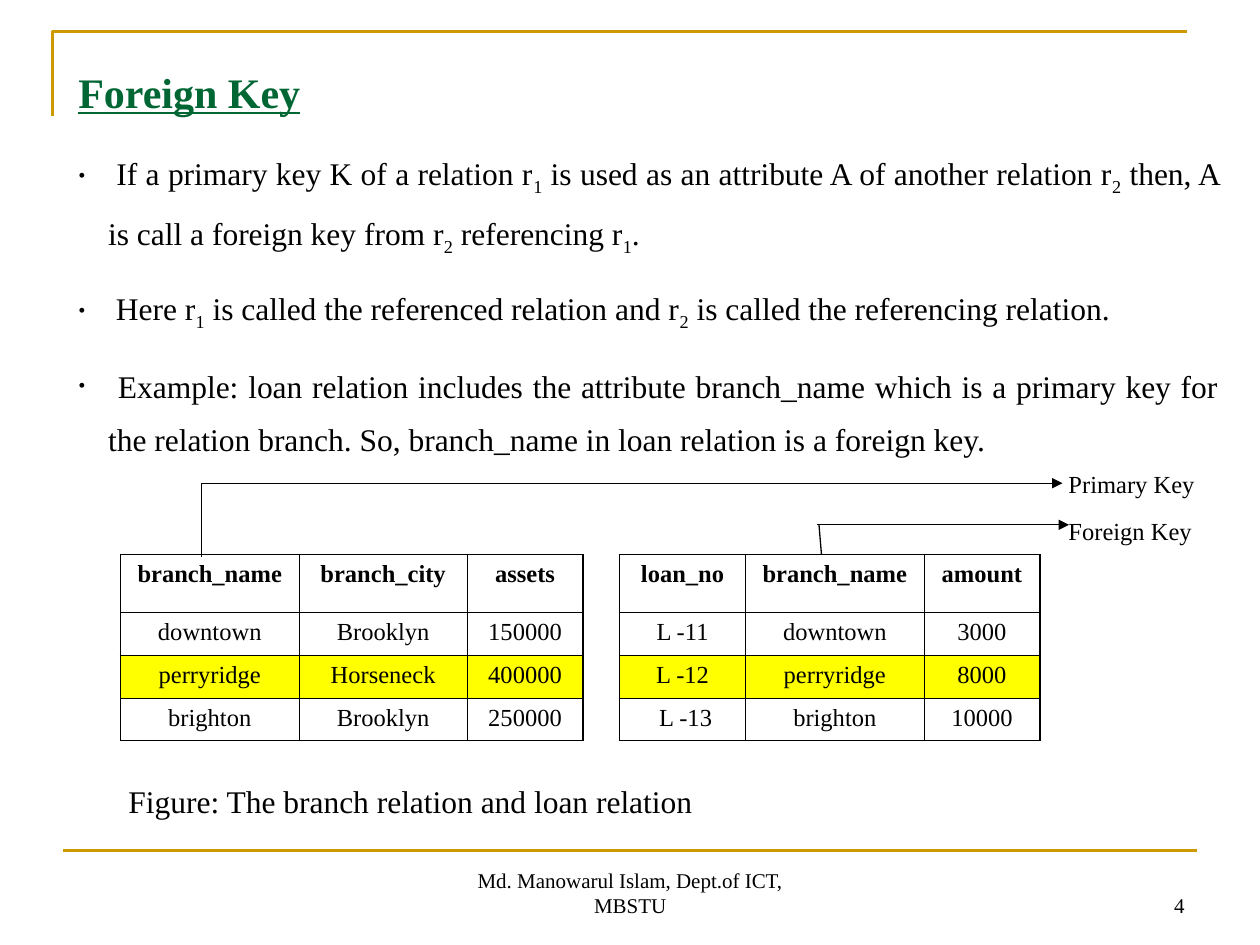
from dataclasses import dataclass

from lxml import etree
from pptx import Presentation
from pptx.dml.color import RGBColor
from pptx.enum.shapes import MSO_CONNECTOR
from pptx.enum.text import MSO_ANCHOR, PP_ALIGN
from pptx.oxml.ns import qn
from pptx.util import Cm, Pt

LEFT, CENTER, RIGHT, JUSTIFY = PP_ALIGN.LEFT, PP_ALIGN.CENTER, PP_ALIGN.RIGHT, PP_ALIGN.JUSTIFY
TOP, BOTTOM = MSO_ANCHOR.TOP, MSO_ANCHOR.BOTTOM
STRAIGHT = MSO_CONNECTOR.STRAIGHT

FONT = "Times New Roman"
BLACK, GOLD, GREEN, YELLOW = "000000", "CC9900", "006633", "FFFF00"
THIN, THICK = 0.45, 1.08
TABLE_TOP, HEADER_HEIGHT, ROW_HEIGHT = 11.18, 1.17, 0.86
HIGHLIGHTED_ROW = 2
HANGING = 0.6


@dataclass
class Relation:
    left: float
    widths: list[float]
    rows: list[list[str]]


@dataclass
class Line:
    start: tuple[float, float]
    end: tuple[float, float]
    color: str = BLACK
    width: float = 0.75
    arrow: bool = False


@dataclass
class Label:
    text: str
    left: float
    top: float
    width: float
    height: float
    size: float
    align: PP_ALIGN = LEFT
    anchor: MSO_ANCHOR = TOP


@dataclass
class Point:
    text: str
    spacing: float


RELATIONS = [
    Relation(2.43, [3.6, 3.39, 2.33], [
        ["branch_name", "branch_city", "assets"],
        ["downtown", "Brooklyn", "150000"],
        ["perryridge", "Horseneck", "400000"],
        ["brighton", "Brooklyn", "250000"],
    ]),
    Relation(12.49, [2.54, 3.6, 2.33], [
        ["loan_no", "branch_name", "amount"],
        ["L -11", "downtown", "3000"],
        ["L -12", "perryridge", "8000"],
        [" L -13", "brighton", "10000"],
    ]),
]

FOOTER_RULE = Line((1.27, 17.15), (24.13, 17.15), GOLD, 1.5)
KEY_LINES = [
    Line((4.06, 9.74), (21.42, 9.74), arrow=True),
    Line((4.06, 9.74), (4.06, 11.22)),
    Line((16.47, 10.58), (21.55, 10.58), arrow=True),
    Line((16.51, 10.58), (16.56, TABLE_TOP)),
]

FOOTERS = [
    Label("Md. Manowarul Islam, Dept.of ICT, MBSTU", 8.68, 17.36, 8.05, 1.27, 12, CENTER, BOTTOM),
    Label("4", 18.21, 17.36, 5.92, 1.27, 12, RIGHT, BOTTOM),
]
CAPTIONS = [
    Label("Figure: The branch relation and loan relation", 2.34, 15.65, 16.71, 1.02, 18),
    Label("Primary Key", 21.29, 9.33, 3.6, 0.86, 14),
    Label("Foreign Key", 21.29, 10.28, 3.6, 0.86, 14),
]

POINTS = [
    Point(" If a primary key K of a relation r~1~ is used as an attribute A of another relation "
          "r~2~ then, A is call a foreign key from r~2~ referencing r~1~.", 1.4),
    Point(" Here r~1~ is called the referenced relation and r~2~ is called the referencing "
          "relation.", 1.3),
    Point(" Example: loan relation includes the attribute branch_name which is a primary key "
          "for the relation branch. So, branch_name in loan relation is a foreign key.", 1.4),
]


def rgb(color: str) -> RGBColor:
    return RGBColor.from_string(color)


def add_bullet(paragraph) -> None:
    properties = paragraph._p.get_or_add_pPr()
    properties.set("marL", str(Cm(HANGING)))
    properties.set("indent", str(-Cm(HANGING)))
    bullet_color = etree.SubElement(properties, qn("a:buClr"))
    etree.SubElement(bullet_color, qn("a:srgbClr"), val=BLACK)
    etree.SubElement(properties, qn("a:buSzPct"), val="65000")
    etree.SubElement(properties, qn("a:buFont"), typeface=FONT)
    etree.SubElement(properties, qn("a:buChar"), char="•")


def write(frame, text: str, *, size: float, color: str = BLACK, bold: bool = False,
          underline: bool = False, align: PP_ALIGN = LEFT, spacing: float = 1.0,
          before: float = 0, bullet: bool = False, new: bool = False) -> None:
    paragraph = frame.add_paragraph() if new else frame.paragraphs[0]
    if bullet:
        add_bullet(paragraph)
    paragraph.alignment = align
    paragraph.line_spacing = spacing
    paragraph.space_before = Pt(before)
    for index, part in enumerate(text.split("~")):
        run = paragraph.add_run()
        run.text = part
        run.font.name = FONT
        run.font.size = Pt(size)
        run.font.bold = bold
        run.font.underline = underline
        run.font.color.rgb = rgb(color)
        if index % 2:
            run._r.get_or_add_rPr().set("baseline", "-25000")


def add_frame(slide, left: float, top: float, width: float, height: float,
              anchor: MSO_ANCHOR = TOP):
    frame = slide.shapes.add_textbox(Cm(left), Cm(top), Cm(width), Cm(height)).text_frame
    frame.word_wrap = True
    frame.vertical_anchor = anchor
    return frame


def draw_label(slide, label: Label) -> None:
    frame = add_frame(slide, label.left, label.top, label.width, label.height, label.anchor)
    write(frame, label.text, size=label.size, align=label.align)


def draw_line(slide, line: Line) -> None:
    ends = [Cm(value) for value in (*line.start, *line.end)]
    connector = slide.shapes.add_connector(STRAIGHT, *ends)
    connector.line.color.rgb = rgb(line.color)
    connector.line.width = Pt(line.width)
    if line.arrow:
        etree.SubElement(connector.line._get_or_add_ln(), qn("a:tailEnd"), type="triangle")
    etree.SubElement(connector._element.spPr, qn("a:effectLst"))


def draw_corner(slide) -> None:
    builder = slide.shapes.build_freeform(Cm(1.06), Cm(2.33))
    builder.add_line_segments([(Cm(1.06), Cm(0.64)), (Cm(23.92), Cm(0.64))], close=False)
    corner = builder.convert_to_shape()
    corner.shadow.inherit = False
    corner.fill.background()
    corner.line.color.rgb = rgb(GOLD)
    corner.line.width = Pt(1.5)


def add_border(cell, side: str, width: float) -> None:
    border = etree.SubElement(cell._tc.get_or_add_tcPr(), qn(f"a:ln{side}"), w=str(Pt(width)))
    fill = etree.SubElement(border, qn("a:solidFill"))
    etree.SubElement(fill, qn("a:srgbClr"), val=BLACK)


def draw_relation(slide, relation: Relation) -> None:
    heights = [HEADER_HEIGHT] + [ROW_HEIGHT] * (len(relation.rows) - 1)
    table = slide.shapes.add_table(
        len(heights), len(relation.widths), Cm(relation.left), Cm(TABLE_TOP),
        Cm(sum(relation.widths)), Cm(sum(heights))).table
    table.first_row = table.horz_banding = False
    for column, width in zip(table.columns, relation.widths):
        column.width = Cm(width)
    last_row, last_column = len(heights) - 1, len(relation.widths) - 1
    for r, values in enumerate(relation.rows):
        table.rows[r].height = Cm(heights[r])
        for c, value in enumerate(values):
            cell = table.cell(r, c)
            outer = {"L": c == 0, "R": c == last_column, "T": r == 0, "B": r == last_row}
            for side, is_outer in outer.items():
                add_border(cell, side, THICK if is_outer else THIN)
            if r == HIGHLIGHTED_ROW:
                cell.fill.solid()
                cell.fill.fore_color.rgb = rgb(YELLOW)
            else:
                cell.fill.background()
            write(cell.text_frame, value, size=14, bold=r == 0, align=CENTER)


def main() -> None:
    deck = Presentation()
    deck.slide_width, deck.slide_height = Cm(25.4), Cm(19.05)
    slide = deck.slides.add_slide(deck.slide_layouts[6])
    draw_corner(slide)
    draw_line(slide, FOOTER_RULE)
    for footer in FOOTERS:
        draw_label(slide, footer)
    body = add_frame(slide, 1.33, 0.81, 23.5, 8.55)
    write(body, "Foreign Key", size=24, color=GREEN, bold=True, underline=True,
          align=JUSTIFY, spacing=1.4)
    for point in POINTS:
        write(body, point.text, size=18, align=JUSTIFY, spacing=point.spacing,
              before=11.2, bullet=True, new=True)
    for relation in RELATIONS:
        draw_relation(slide, relation)
    for line in KEY_LINES:
        draw_line(slide, line)
    for caption in CAPTIONS:
        draw_label(slide, caption)
    deck.save("out.pptx")


if __name__ == "__main__":
    main()
